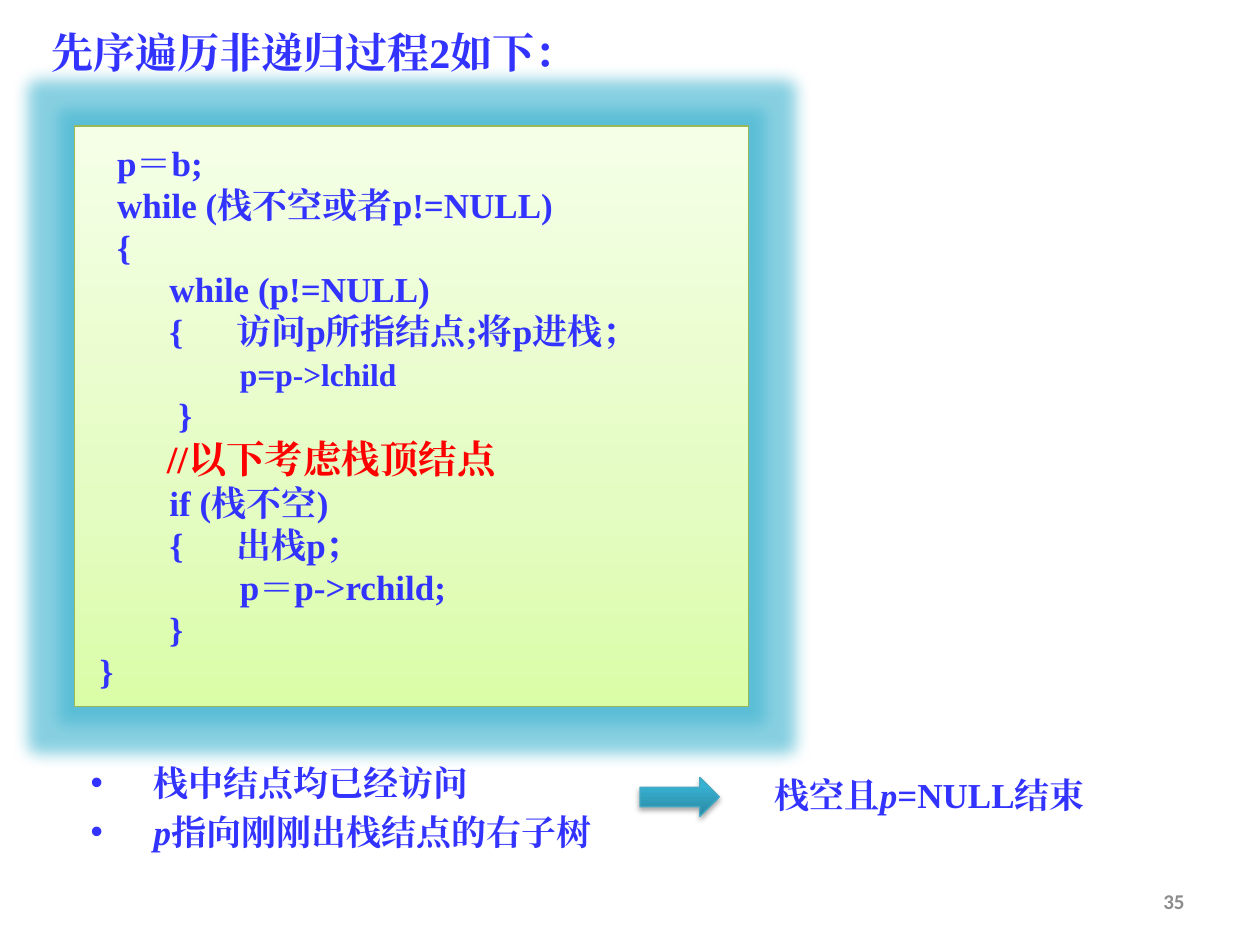
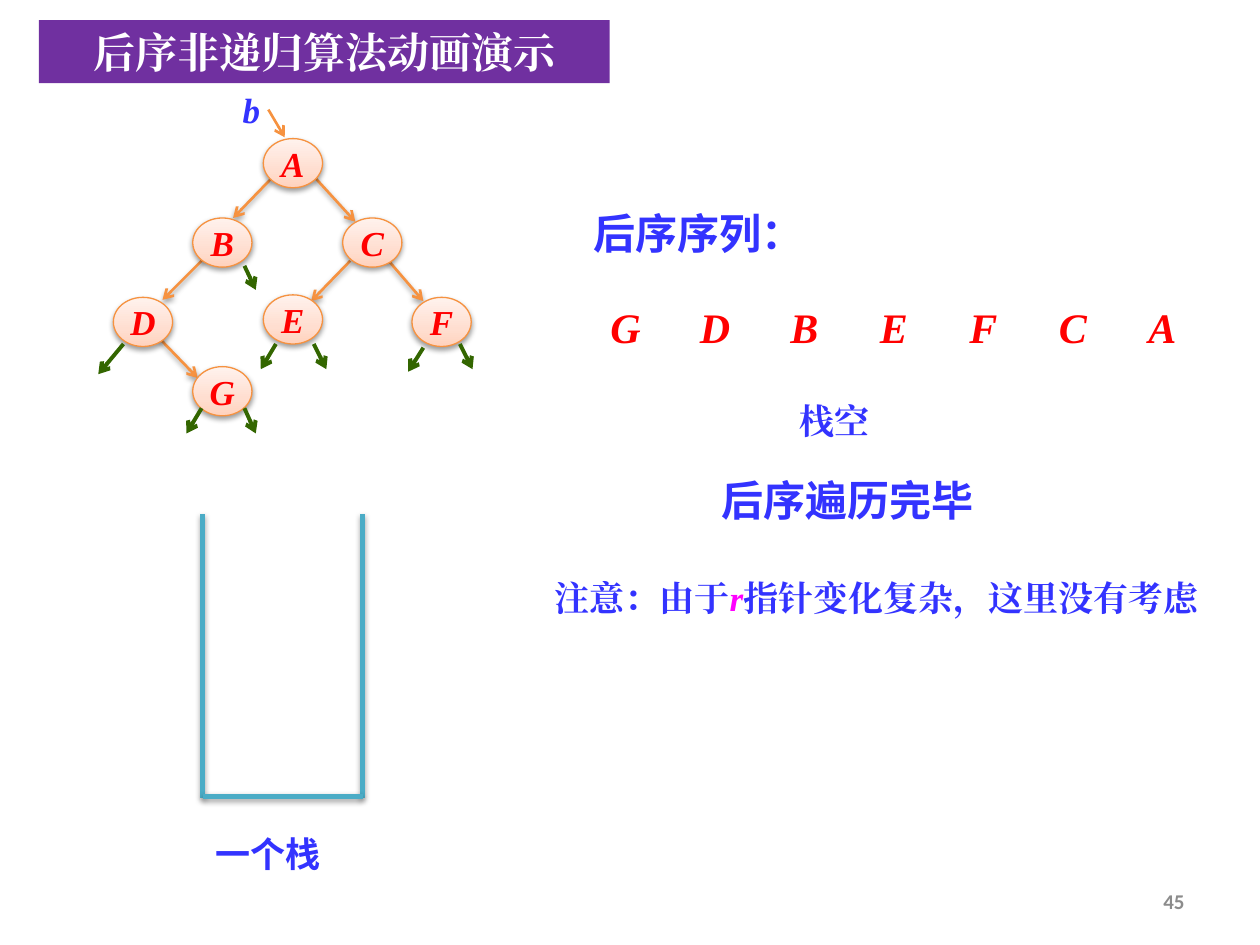
from dataclasses import dataclass
from typing import NamedTuple, Optional

from lxml import etree
from pptx import Presentation
from pptx import util as u
from pptx.dml.color import RGBColor
from pptx.enum import shapes, text
from pptx.oxml.ns import qn

PX = 9144  # EMU per px, 100 px to the inch
COLORS = {
    "blue": "3333FF", "red": "FF0000", "magenta": "FF00FF", "white": "FFFFFF",
    "grey": "8C8C8C", "purple": "7030A0", "orange": "F69240", "teal": "4BACC6",
    "green": "336600", "lime": "98B955", "arrow": "46AAC5", "glow": "40B4D0",
    "black": "000000",
}
GRADIENTS = {  # stops run from bottom to top
    "lime": [(0, "DAFDA7"), (35, "E4FCC2"), (100, "F5FFE7")],
    "peach": [(0, "FFD2BD"), (35, "FFDED0"), (100, "FFF2ED")],
    "teal": [(0, "2A88A2"), (80, "37B1D2"), (100, "34B4D6")],
}
TIMES, CJK, CALIBRI = "Times New Roman", "Noto Sans CJK SC", "Calibri"
LEFT, CENTER, RIGHT = text.PP_ALIGN.LEFT, text.PP_ALIGN.CENTER, text.PP_ALIGN.RIGHT
TOP, MIDDLE = text.MSO_ANCHOR.TOP, text.MSO_ANCHOR.MIDDLE
NO_INSETS, INSETS = (0, 0, 0, 0), (10, 5, 10, 5)


class Box(NamedTuple):
    x: int
    y: int
    w: int
    h: int


class Style(NamedTuple):
    size: Optional[int] = None
    color: Optional[str] = None
    font: Optional[str] = None
    bold: Optional[bool] = None
    italic: Optional[bool] = None


class Run(NamedTuple):
    text: str
    style: Style = Style()


@dataclass
class Para:
    runs: list[Run]
    style: Style
    align: text.PP_ALIGN = LEFT
    bullet: bool = False


class Link(NamedTuple):
    x1: int
    y1: int
    x2: int
    y2: int


BODY = Style(20, "blue", TIMES, True)
HEAD = BODY._replace(size=24)
NODE = BODY._replace(color="red", italic=True)
LABEL = BODY._replace(font=CJK)
ITALIC = Style(italic=True)


def emu(*lengths: int) -> list[int]:
    return [u.Emu(n * PX) for n in lengths]


def rgb(name: str) -> RGBColor:
    return RGBColor.from_string(COLORS[name])


def line_of(content: str, style: Style, align=LEFT) -> list[Para]:
    return [Para([Run(content)], style, align)]


def add_sub(parent, tag: str, **attrs):
    return etree.SubElement(parent, qn(tag), {k: str(v) for k, v in attrs.items()})


def add_color(parent, value: str, alpha: Optional[int] = None) -> None:
    clr = add_sub(parent, "a:srgbClr", val=value)
    if alpha is not None:
        add_sub(clr, "a:alpha", val=alpha * 1000)


def set_font(font, style: Style) -> None:
    if style.size:
        font.size = u.Pt(style.size)
    if style.color:
        font.color.rgb = rgb(style.color)
    if style.bold is not None:
        font.bold = style.bold
    if style.italic is not None:
        font.italic = style.italic
    if style.font:
        font.name = style.font
        latin = font._element.find(qn("a:latin"))
        latin.addnext(latin.makeelement(qn("a:ea"), {"typeface": style.font}))


def write(sp, paras: list[Para], insets=INSETS, anchor=TOP, wrap=True) -> None:
    tf = sp.text_frame
    tf.word_wrap = wrap
    tf.vertical_anchor = anchor
    tf.margin_left, tf.margin_top, tf.margin_right, tf.margin_bottom = emu(*insets)
    for i, para in enumerate(paras):
        p = tf.paragraphs[0] if i == 0 else tf.add_paragraph()
        p.alignment = para.align
        if para.bullet:
            p.line_spacing = u.Pt(28)
            ppr = p._p.get_or_add_pPr()
            ppr.set("marL", str(50 * PX))
            ppr.set("indent", str(-50 * PX))
            add_sub(ppr, "a:buFont", typeface="Arial")
            add_sub(ppr, "a:buChar", char="•")
        set_font(p.font, para.style)
        for run in para.runs:
            r = p.add_run()
            r.text = run.text
            set_font(r.font, run.style)


def add_text(s, box: Box, paras: list[Para], insets=INSETS, anchor=TOP) -> None:
    write(s.shapes.add_textbox(*emu(*box)), paras, insets, anchor)


def set_effects(sp, shadow: Optional[int] = None, glow: Optional[int] = None) -> None:
    """Shadow is an opacity in percent, glow a radius in points."""
    sp_pr = sp._element.spPr
    lst = sp_pr.find(qn("a:effectLst"))
    if lst is None:
        lst = add_sub(sp_pr, "a:effectLst")
    if glow:
        add_color(add_sub(lst, "a:glow", rad=u.Pt(glow)), COLORS["glow"], 62)
    if shadow:
        outer = add_sub(lst, "a:outerShdw", blurRad=u.Pt(3.1), dist=u.Pt(1.6),
                        dir=5400000, rotWithShape=0)
        add_color(outer, COLORS["black"], shadow)


def add_shape(s, kind, box: Box, gradient="", solid="", line="",
              shadow: Optional[int] = None, glow: Optional[int] = None):
    sp = s.shapes.add_shape(kind, *emu(*box))
    if gradient:
        sp.fill.gradient()
        sp.fill.gradient_angle = 90
        stops = sp._element.spPr.find(".//" + qn("a:gsLst"))
        for old in list(stops):
            stops.remove(old)
        for pos, value in GRADIENTS[gradient]:
            add_color(add_sub(stops, "a:gs", pos=pos * 1000), value)
    else:
        sp.fill.solid()
        sp.fill.fore_color.rgb = rgb(solid)
    if line:
        sp.line.color.rgb = rgb(line)
        sp.line.width = u.Pt(0.75)
    else:
        sp.line.fill.background()
    sp.shadow.inherit = False
    set_effects(sp, shadow, glow)
    return sp


def add_link(s, link: Link, color: str, width: float, arrow=True,
             shadow: Optional[int] = None) -> None:
    cn = s.shapes.add_connector(shapes.MSO_CONNECTOR.STRAIGHT, *emu(*link))
    cn.line.color.rgb = rgb(color)
    cn.line.width = u.Pt(width)
    if arrow:
        add_sub(cn.line._get_or_add_ln(), "a:tailEnd", type="arrow")
    set_effects(cn, shadow)


def new_slide(prs, number: int):
    s = prs.slides.add_slide(prs.slide_layouts[6])
    add_text(s, Box(717, 695, 233, 40),
             line_of(str(number), Style(12, "grey", CALIBRI, True), RIGHT), anchor=MIDDLE)
    return s


CODE = """\
  p＝b;
  while (栈不空或者p!=NULL)
  {
        while (p!=NULL)
        {      访问p所指结点;将p进栈；
                p=p->lchild
         }
       //以下考虑栈顶结点
        if (栈不空)
  {      出栈p；
      p＝p->rchild;
        }
}"""
CODE = CODE.replace("\n  {      出", "\n\u3000\u3000{      出").replace(
    "\n      p＝", "\n\u3000\u3000\u3000    p＝")


def code_para(line: str) -> Para:
    if line.lstrip().startswith("//"):
        return Para([Run(line)], BODY._replace(size=22, color="red"))
    code = line.lstrip(" ")
    if code.startswith("p=p"):
        indent = line[:len(line) - len(code)]
        return Para([Run(indent), Run(code, Style(size=18))], BODY)
    return Para([Run(line)], BODY)


def preorder_slide(prs) -> None:
    s = new_slide(prs, 35)
    # Code panel
    panel = add_shape(s, shapes.MSO_SHAPE.RECTANGLE, Box(59, 100, 535, 461),
                      gradient="lime", line="lime", glow=18)
    write(panel, [code_para(line) for line in CODE.split("\n")], (20, 12, 10, 12))
    # Title
    add_text(s, Box(31, 16, 578, 50), line_of("先序遍历非递归过程2如下：", HEAD))
    # State of the stack and the conclusion
    add_text(s, Box(62, 594, 422, 89), [
        Para([Run("栈中结点均已经访问")], BODY, bullet=True),
        Para([Run("p", ITALIC), Run("指向刚刚出栈结点的右子树")], BODY, bullet=True)])
    add_shape(s, shapes.MSO_SHAPE.RIGHT_ARROW, Box(508, 617, 63, 31),
              gradient="teal", line="arrow", shadow=35)
    add_text(s, Box(570, 609, 336, 44), [
        Para([Run("栈空且"), Run("p", ITALIC), Run("=NULL结束")], BODY, CENTER)])


TREE_NODES = {"A": (209, 110), "B": (153, 173), "C": (272, 173), "D": (90, 236),
              "E": (209, 234), "F": (327, 236), "G": (153, 291)}
TREE_EDGES = [Link(126, 268, 157, 300), Link(216, 141, 185, 173),
              Link(250, 141, 282, 176), Link(164, 203, 129, 238),
              Link(278, 207, 247, 239), Link(305, 203, 336, 239)]
NULL_LINKS = [Link(194, 324, 203, 344), Link(160, 324, 148, 344),
              Link(249, 273, 259, 293), Link(219, 273, 207, 293),
              Link(365, 273, 375, 293), Link(336, 276, 324, 295),
              Link(98, 273, 78, 297), Link(194, 211, 203, 230)]
STACK_WALLS = [Link(161, 408, 161, 633), Link(288, 408, 288, 633),
               Link(161, 632, 288, 632)]


def postorder_slide(prs) -> None:
    s = new_slide(prs, 45)
    # Title band
    band = add_shape(s, shapes.MSO_SHAPE.RECTANGLE, Box(31, 16, 453, 50), solid="purple")
    write(band, line_of("后序非递归算法动画演示", HEAD._replace(color="white"), CENTER))
    # Binary tree
    for edge in TREE_EDGES:
        add_link(s, edge, "orange", 1.5, shadow=38)
    for name, (x, y) in TREE_NODES.items():
        node = add_shape(s, shapes.MSO_SHAPE.OVAL, Box(x, y, 47, 39),
                         gradient="peach", line="orange", shadow=38)
        write(node, line_of(name, NODE, CENTER), anchor=MIDDLE, wrap=False)
    for link in NULL_LINKS:
        add_link(s, link, "green", 2.25)
    # Root pointer
    add_link(s, Link(213, 87, 226, 109), "orange", 1.5)
    add_text(s, Box(180, 70, 39, 34),
             line_of("b", BODY._replace(italic=True), CENTER), NO_INSETS)
    # Stack
    for wall in STACK_WALLS:
        add_link(s, wall, "teal", 3, arrow=False, shadow=35)
    add_text(s, Box(161, 656, 126, 44), line_of("一个栈", LABEL))
    # Visiting order
    add_text(s, Box(460, 160, 189, 50),
             line_of("后序序列：", LABEL._replace(size=24), CENTER))
    for i, name in enumerate("GDBEFCA"):
        add_text(s, Box(473 + 71 * i, 239, 47, 40),
                 line_of(name, NODE._replace(size=24), CENTER), NO_INSETS)
    # Result and remark
    add_text(s, Box(625, 312, 102, 44), line_of("栈空", BODY))
    add_text(s, Box(523, 372, 299, 50),
             line_of("后序遍历完毕", LABEL._replace(size=24), CENTER))
    add_text(s, Box(430, 453, 539, 44), [
        Para([Run("注意：由于"), Run("r", Style(color="magenta", italic=True)),
              Run("指针变化复杂，这里没有考虑")], BODY)])


def main() -> None:
    prs = Presentation()
    prs.slide_width, prs.slide_height = emu(1000, 750)
    preorder_slide(prs)
    postorder_slide(prs)
    prs.save("out.pptx")


if __name__ == "__main__":
    main()
